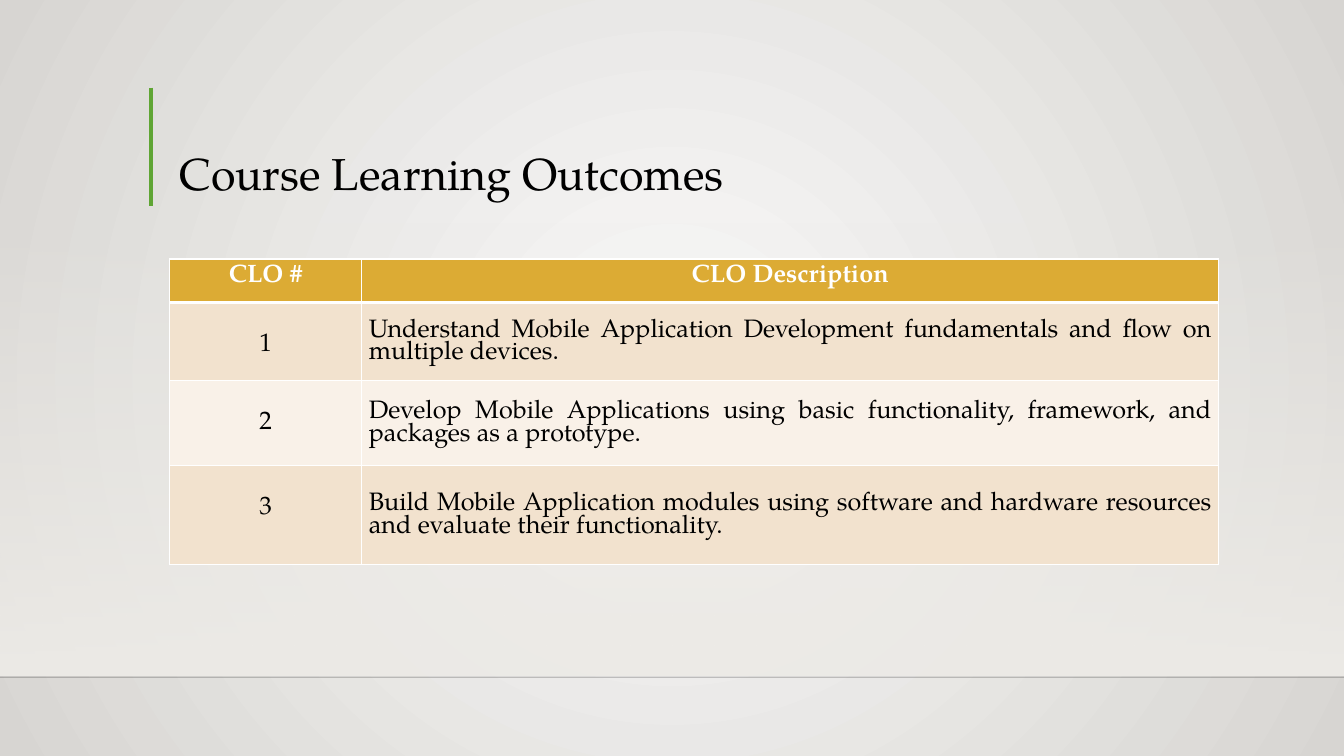
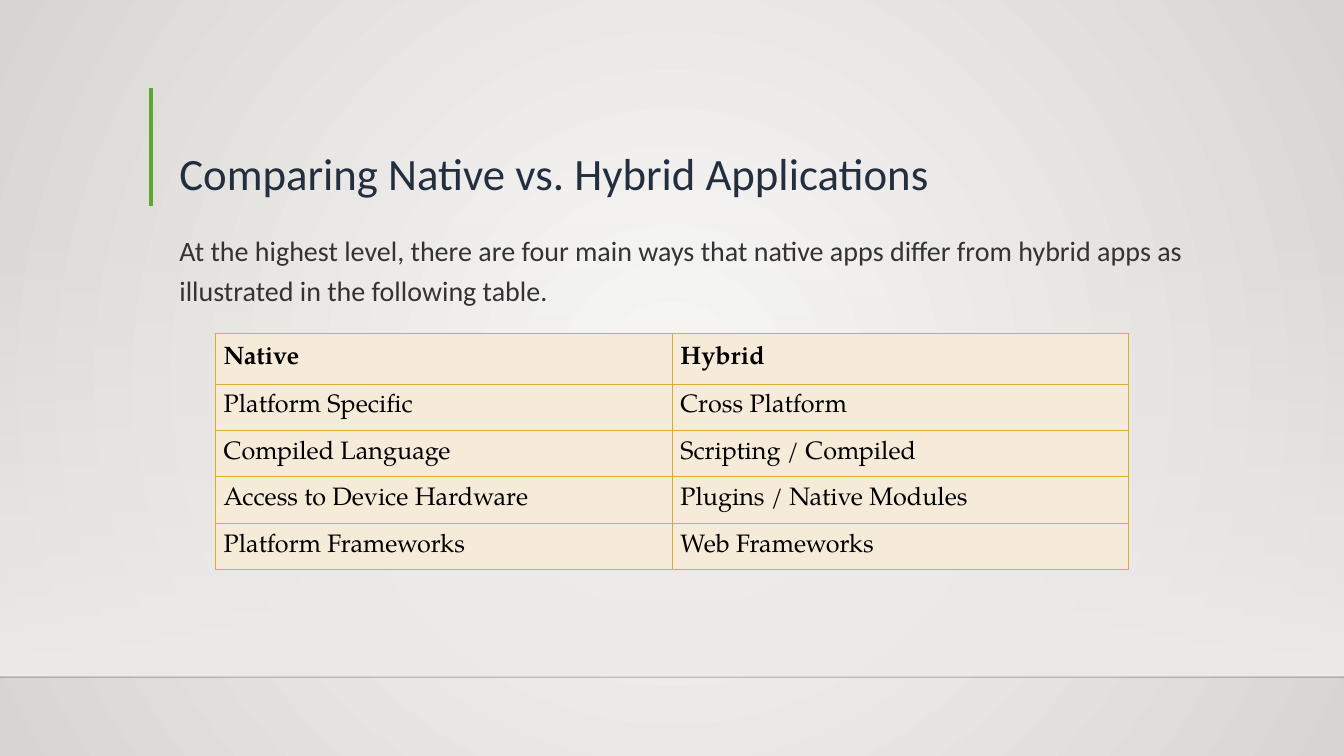
import dataclasses

import pptx
import pptx.dml.color
import pptx.enum.shapes
import pptx.enum.text
import pptx.oxml.ns
import pptx.util
from lxml import etree

Pt = pptx.util.Pt
ALIGN = pptx.enum.text.PP_ALIGN
ANCHOR = pptx.enum.text.MSO_ANCHOR


@dataclasses.dataclass(frozen=True)
class Theme:
    serif: str = "TeX Gyre Pagella"
    sans: str = "Calibri"
    title_size: float = 32
    body_size: float = 20
    table_size: float = 18
    black: str = "000000"
    white: str = "FFFFFF"
    navy: str = "232F3E"
    charcoal: str = "333333"
    green: str = "5FA534"
    gold: str = "DCAB34"
    sand: str = "F2E2CE"
    cream: str = "F9F1E8"
    peach: str = "F6EAD9"
    floor: str = "EDEBE7"
    glow: str = "FAFAF9"
    edge: str = "D7D5D2"


@dataclasses.dataclass(frozen=True)
class CellLook:
    fill: str
    color: str = Theme.black
    bold: bool = False
    align: object = ALIGN.LEFT
    spacing: float = 1.0
    anchor: object = ANCHOR.TOP
    insets: tuple = (7.2, 3.6)
    border: str = Theme.white
    widths: tuple = (1, 1, 1, 1)


def rgb(code):
    return pptx.dml.color.RGBColor.from_string(code)


def add_node(parent, tag, **attributes):
    node = etree.SubElement(parent, pptx.oxml.ns.qn(tag))
    for name, value in attributes.items():
        node.set(name, value)
    return node


def set_gradient(fill, colors):
    fill.gradient()
    for stop, color in zip(fill.gradient_stops, colors):
        stop.color.rgb = rgb(color)


class CourseDeck:
    """Holds the course style and the current slide, and draws each kind of element."""

    def __init__(self, theme):
        self.theme = theme
        self.deck = pptx.Presentation()
        self.deck.slide_width = Pt(960)
        self.deck.slide_height = Pt(540)
        self.page = None
        self.background()

    def background(self):
        master = self.deck.slide_master
        set_gradient(master.background.fill, (self.theme.glow, self.theme.edge))
        gradient = master.element.xpath(".//p:bgPr/a:gradFill")[0]
        gradient.remove(gradient.xpath("a:lin")[0])
        circle = add_node(gradient, "a:path")
        circle.set("path", "circle")
        add_node(circle, "a:fillToRect", l="50000", t="50000", r="50000", b="50000")

    def new_page(self, title, font, color):
        self.page = self.deck.slides.add_slide(self.deck.slide_layouts[6])
        self.band(0, 158.4, 960, 324)
        self.rule((0, 483.8), (960, 483.8), self.theme.black, 1, opacity=20)
        self.rule((108, 62.6), (108, 146.9), self.theme.green, 3)
        self.text((121, 63.4, 749.5, 82.8), title, font, self.theme.title_size, color,
                  spacing=0.9, anchor=ANCHOR.BOTTOM)

    def band(self, left, top, width, height):
        shape = self.page.shapes.add_shape(
            pptx.enum.shapes.MSO_SHAPE.RECTANGLE, Pt(left), Pt(top), Pt(width), Pt(height))
        shape.shadow.inherit = False
        shape.line.fill.background()
        set_gradient(shape.fill, (self.theme.floor, self.theme.floor))
        shape.fill.gradient_angle = 270
        add_node(shape.element.xpath(".//a:gs/a:srgbClr")[0], "a:alpha", val="0")

    def rule(self, start, end, color, width, opacity=100):
        line = self.page.shapes.add_connector(
            pptx.enum.shapes.MSO_CONNECTOR.STRAIGHT, *map(Pt, start + end))
        line.line.color.rgb = rgb(color)
        line.line.width = Pt(width)
        if opacity < 100:
            node = line.element.xpath("./p:spPr//a:srgbClr")[0]
            add_node(node, "a:alpha", val=str(opacity * 1000))
        add_node(line.element.xpath("./p:spPr")[0], "a:effectLst")

    def fill_frame(self, frame, text, font, size, color, spacing, bold=False,
                   align=ALIGN.LEFT):
        frame.word_wrap = True
        para = frame.paragraphs[0]
        para.text = text
        para.alignment = align
        para.line_spacing = spacing
        para.font.name = font
        para.font.size = Pt(size)
        para.font.bold = bold
        para.font.color.rgb = rgb(color)
        return para

    def text(self, place, text, font, size, color, spacing, before=0, anchor=ANCHOR.TOP):
        box = self.page.shapes.add_textbox(*map(Pt, place))
        box.text_frame.vertical_anchor = anchor
        para = self.fill_frame(box.text_frame, text, font, size, color, spacing)
        para.space_before = Pt(before)

    def table(self, left, top, widths, heights, rows, look_at):
        frame = self.page.shapes.add_table(
            len(rows), len(widths), Pt(left), Pt(top), Pt(sum(widths)), Pt(sum(heights)))
        table = frame.table
        table.first_row = table.horz_banding = False
        for column, width in zip(table.columns, widths):
            column.width = Pt(width)
        for row, height in zip(table.rows, heights):
            row.height = Pt(height)
        for row_index, row in enumerate(rows):
            for column_index, text in enumerate(row):
                self.cell(table.cell(row_index, column_index), text,
                          look_at(row_index, column_index))

    def cell(self, cell, text, look):
        self.fill_frame(cell.text_frame, text, self.theme.serif, self.theme.table_size,
                        look.color, look.spacing, look.bold, look.align)
        cell.vertical_anchor = look.anchor
        cell.margin_left = cell.margin_right = Pt(look.insets[0])
        cell.margin_top = cell.margin_bottom = Pt(look.insets[1])
        properties = cell._tc.get_or_add_tcPr()
        for side, width in zip("LRTB", look.widths):
            line = add_node(properties, f"a:ln{side}", w=str(int(Pt(width))))
            add_node(add_node(line, "a:solidFill"), "a:srgbClr", val=look.border)
        cell.fill.solid()
        cell.fill.fore_color.rgb = rgb(look.fill)


def outcome_look(row, column):
    if row == 0:
        return CellLook(Theme.gold, Theme.white, bold=True, align=ALIGN.CENTER,
                        widths=(1, 1, 1, 3))
    look = CellLook(Theme.sand if row % 2 else Theme.cream,
                    widths=(1, 1, 3 if row == 1 else 1, 1))
    if column == 0:
        return dataclasses.replace(look, align=ALIGN.CENTER, spacing=2.0)
    return dataclasses.replace(look, align=ALIGN.JUSTIFY, spacing=0.9,
                               anchor=ANCHOR.MIDDLE, insets=(5, 0))


def comparison_look(row, column):
    return CellLook(Theme.peach, bold=row == 0, anchor=ANCHOR.MIDDLE,
                    insets=(5.76, 7.2 if row == 0 else 5.76),
                    border=Theme.gold, widths=(0.75,) * 4)


def main():
    theme = Theme()
    course = CourseDeck(theme)

    course.new_page("Course Learning Outcomes", theme.serif, theme.black)
    course.table(121, 185, (137.5, 612), (31, 56, 60.5, 70.5), (
        ("CLO #", "CLO Description"),
        ("1", "Understand Mobile Application Development fundamentals and flow on "
              "multiple devices."),
        ("2", "Develop Mobile Applications using basic functionality, framework, and "
              "packages as a prototype."),
        ("3", "Build Mobile Application modules using software and hardware resources "
              "and evaluate their functionality."),
    ), outcome_look)

    course.new_page("Comparing Native vs. Hybrid Applications", theme.sans, theme.navy)
    course.text((121, 158.4, 749.5, 271.4),
                "At the highest level, there are four main ways that native apps differ "
                "from hybrid apps as illustrated in the following table.",
                theme.sans, theme.body_size, theme.charcoal, spacing=1.2, before=10)
    course.table(154, 238.3, (326.2, 326.2), (33, 30, 30, 30, 30), (
        ("Native", "Hybrid"),
        ("Platform Specific", "Cross Platform"),
        ("Compiled Language", "Scripting / Compiled"),
        ("Access to Device Hardware", "Plugins / Native Modules"),
        ("Platform Frameworks", "Web Frameworks"),
    ), comparison_look)

    course.deck.save("out.pptx")


if __name__ == "__main__":
    main()
